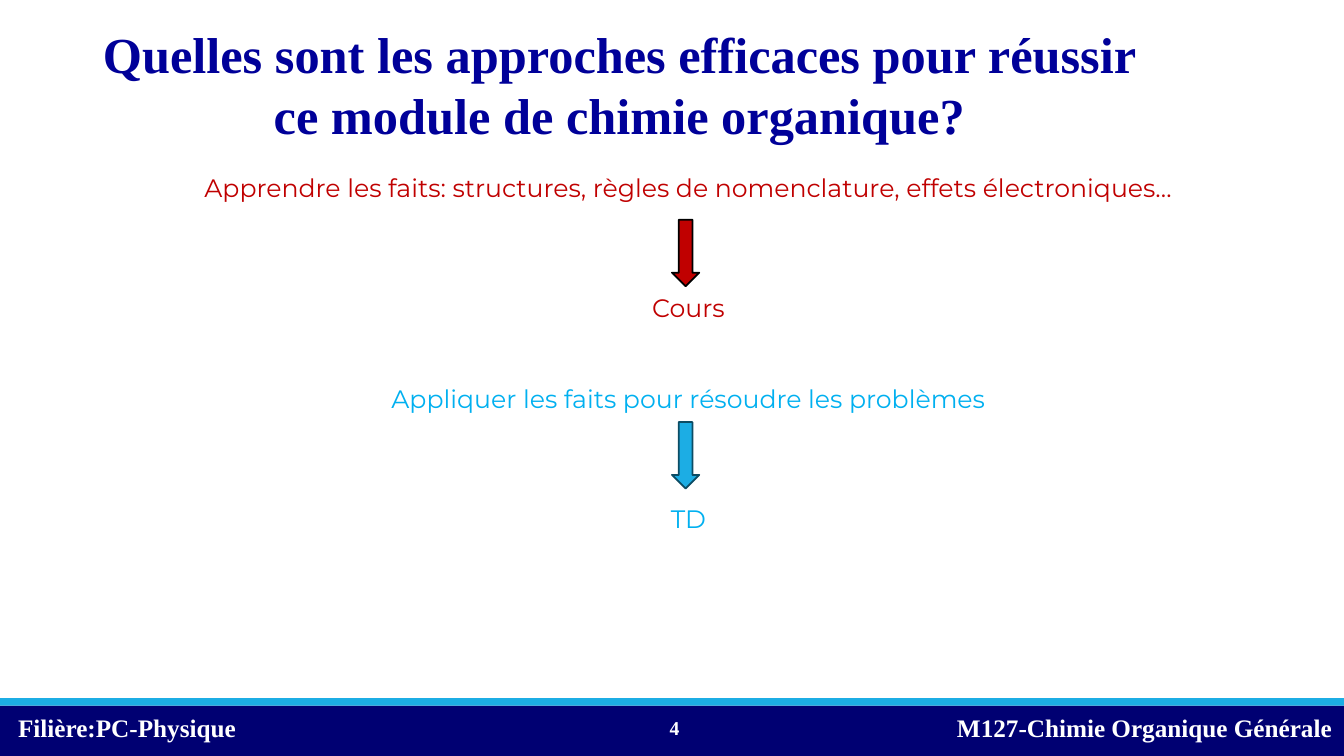
from dataclasses import dataclass

from pptx import Presentation
from pptx.dml.color import RGBColor
from pptx.enum.shapes import MSO_SHAPE
from pptx.enum.text import MSO_ANCHOR, PP_ALIGN
from pptx.util import Pt

RECTANGLE = MSO_SHAPE.RECTANGLE
DOWN_ARROW = MSO_SHAPE.DOWN_ARROW
LEFT, CENTER, RIGHT = PP_ALIGN.LEFT, PP_ALIGN.CENTER, PP_ALIGN.RIGHT
TOP, MIDDLE = MSO_ANCHOR.TOP, MSO_ANCHOR.MIDDLE

SLIDE_WIDTH, SLIDE_HEIGHT = 960, 540
FOOTER_TOP = 504
STRIPE_HEIGHT = 5.4


@dataclass(frozen=True)
class Theme:
    serif: str = "Times New Roman"
    sans: str = "Montserrat"
    title_size: int = 36
    text_size: int = 18
    number_size: int = 14
    title: str = "000099"
    course: str = "C00000"
    practice: str = "00B0F0"
    accent: str = "1CADE4"
    accent_dark: str = "0C4C64"
    footer: str = "000072"
    white: str = "FFFFFF"
    black: str = "000000"


THEME = Theme()


def color(code):
    return RGBColor.from_string(code)


def set_font(paragraph, name, size, code, bold=False):
    font = paragraph.font
    font.name, font.size, font.bold = name, Pt(size), bold
    font.color.rgb = color(code)


def add_text_frame(slide, box, anchor=TOP):
    frame = slide.shapes.add_textbox(*map(Pt, box)).text_frame
    frame.word_wrap = True
    frame.vertical_anchor = anchor
    return frame


def add_heading(slide, box, text, size, code, align=LEFT, anchor=TOP):
    """Add one bold serif paragraph and return its text frame."""
    frame = add_text_frame(slide, box, anchor)
    paragraph = frame.paragraphs[0]
    paragraph.text = text
    paragraph.alignment = align
    set_font(paragraph, THEME.serif, size, code, bold=True)
    return frame


def add_filled_shape(slide, kind, box, fill, outline=None):
    shape = slide.shapes.add_shape(kind, *map(Pt, box))
    shape.shadow.inherit = False
    shape.fill.solid()
    shape.fill.fore_color.rgb = color(fill)
    if outline:
        shape.line.color.rgb = color(outline)
        shape.line.width = Pt(1.25)
    else:
        shape.line.fill.background()


def add_footer(slide):
    add_filled_shape(slide, RECTANGLE,
                     (0, FOOTER_TOP, SLIDE_WIDTH, SLIDE_HEIGHT - FOOTER_TOP),
                     THEME.footer)
    add_filled_shape(slide, RECTANGLE,
                     (0, FOOTER_TOP - STRIPE_HEIGHT, SLIDE_WIDTH, STRIPE_HEIGHT),
                     THEME.accent)
    top, height = 505.5, 29
    add_heading(slide, (5.8, top, 320, height), "Filière:PC-Physique",
                THEME.text_size, THEME.white)
    module = add_heading(slide, (676.5, top, 283.5, height),
                         "M127-Chimie Organique Générale",
                         THEME.text_size, THEME.white)
    module.margin_right = 0
    add_heading(slide, (467.5, top, 25, height), "4",
                THEME.number_size, THEME.white, RIGHT, MIDDLE)


def add_steps(slide):
    steps = (
        ("Apprendre les faits: structures, règles de nomenclature, "
         "effets électroniques…", THEME.course, 0),
        ("Cours", THEME.course, 64.5),
        ("Appliquer les faits pour résoudre les problèmes", THEME.practice, 43),
        ("TD", THEME.practice, 64.5),
    )
    frame = add_text_frame(slide, (54, 119.5, 875.5, 378))
    for index, (text, code, gap) in enumerate(steps):
        paragraph = frame.add_paragraph() if index else frame.paragraphs[0]
        paragraph.text = text
        paragraph.alignment = CENTER
        paragraph.space_before = Pt(gap)
        set_font(paragraph, THEME.sans, THEME.text_size, code)

    for top, fill, outline in ((157, THEME.course, THEME.black),
                               (301.5, THEME.accent, THEME.accent_dark)):
        add_filled_shape(slide, DOWN_ARROW, (480, top, 19.5, 47.5), fill, outline)


def main():
    deck = Presentation()
    deck.slide_width, deck.slide_height = Pt(SLIDE_WIDTH), Pt(SLIDE_HEIGHT)
    slide = deck.slides.add_slide(deck.slide_layouts[6])
    add_footer(slide)
    title = add_heading(
        slide, (62.5, 13.5, 760, 94.5),
        "Quelles sont les approches efficaces pour réussir "
        "ce module de chimie organique?",
        THEME.title_size, THEME.title, CENTER)
    title.paragraphs[0].line_spacing = Pt(43)
    add_steps(slide)
    deck.save("out.pptx")


if __name__ == "__main__":
    main()
